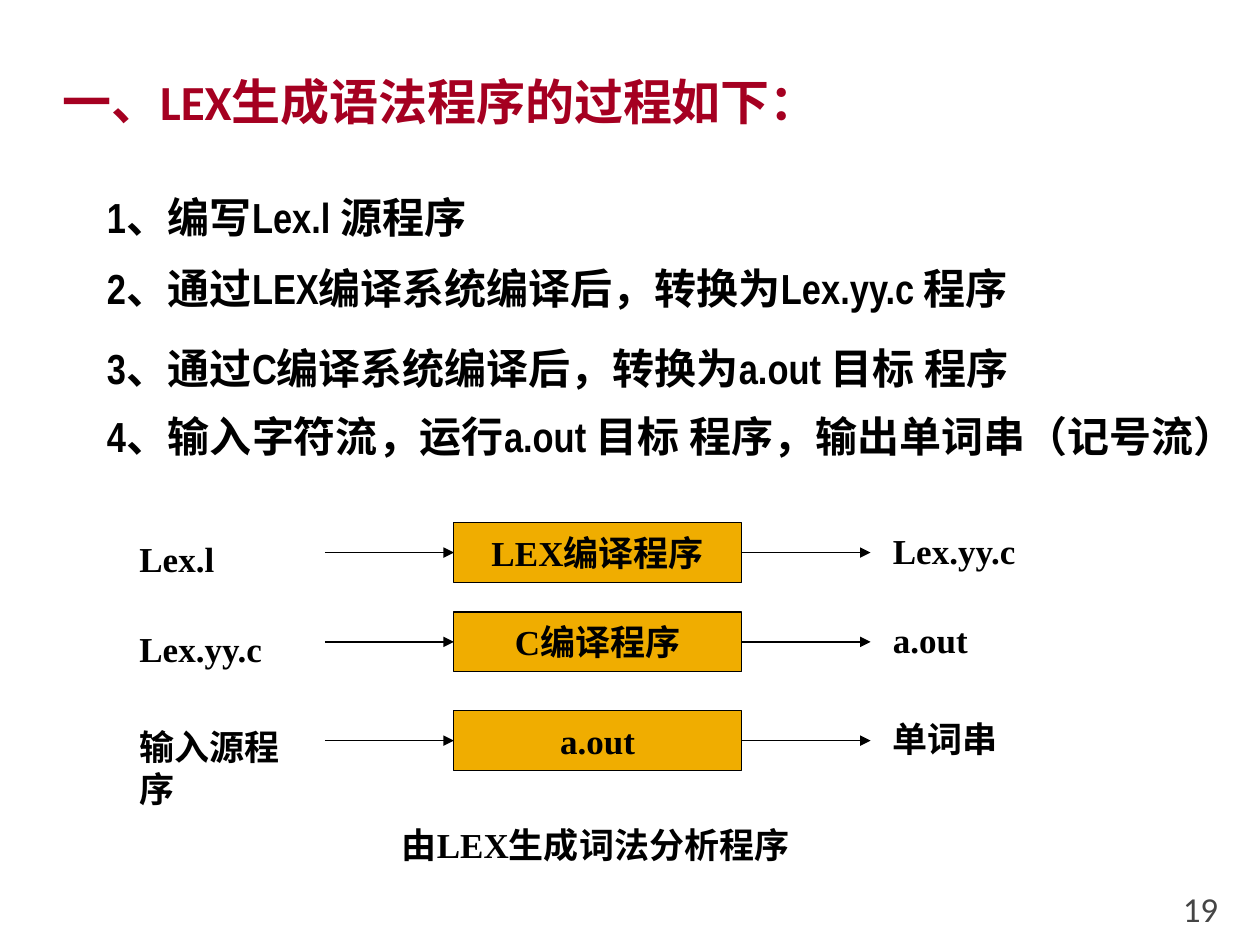
from lxml import etree
from pptx import Presentation
from pptx.dml.color import RGBColor
from pptx.enum.shapes import MSO_CONNECTOR, MSO_SHAPE
from pptx.enum.text import MSO_ANCHOR, MSO_AUTO_SIZE, PP_ALIGN
from pptx.oxml.ns import qn
from pptx.util import Cm, Pt

STRAIGHT = MSO_CONNECTOR.STRAIGHT
RECT = MSO_SHAPE.RECTANGLE
MIDDLE, BOTTOM = MSO_ANCHOR.MIDDLE, MSO_ANCHOR.BOTTOM
LEFT, CENTER, RIGHT = PP_ALIGN.LEFT, PP_ALIGN.CENTER, PP_ALIGN.RIGHT
NO_FIT = MSO_AUTO_SIZE.NONE

COLORS = {"title": "A50021", "text": "000000", "box": "F0AD00", "number": "454545"}


def write(p, text, font, size, color="text", align=LEFT, bold=True):
    p.text = text
    p.alignment = align
    for r in p.runs:
        r.font.name = font
        r.font.size = Pt(size)
        r.font.bold = bold
        r.font.color.rgb = RGBColor.from_string(COLORS[color])


def add_label(s, text, x, y, w, h):
    tf = s.shapes.add_textbox(Cm(x), Cm(y), Cm(w), Cm(h)).text_frame
    tf.word_wrap = True
    write(tf.paragraphs[0], text, "Times New Roman", 20)
    return tf


prs = Presentation()
prs.slide_width, prs.slide_height = Cm(25.4), Cm(19.05)
s = prs.slides.add_slide(prs.slide_layouts[1])

title = s.shapes.title
title.left, title.top, title.width, title.height = Cm(1), Cm(0.7), Cm(21.6), Cm(2.65)
tf = title.text_frame
tf.auto_size = NO_FIT
tf.vertical_anchor = MIDDLE
write(tf.paragraphs[0], "一、LEX生成语法程序的过程如下：", "Calibri", 28, "title")

body = s.placeholders[1]
body.left, body.top, body.width, body.height = Cm(1.9), Cm(3.73), Cm(23.5), Cm(6.6)
tf = body.text_frame
tf.auto_size = NO_FIT
steps = [
    ("1、编写Lex.l 源程序", 0),
    ("2、通过LEX编译系统编译后，转换为Lex.yy.c 程序", 12),
    ("3、通过C编译系统编译后，转换为a.out 目标 程序", 17),
    ("4、输入字符流，运行a.out 目标 程序，输出单词串（记号流）", 10),
]
for i, (text, gap) in enumerate(steps):
    p = tf.add_paragraph() if i else tf.paragraphs[0]
    pPr = p._p.get_or_add_pPr()
    pPr.set("marL", "0")
    pPr.set("indent", "0")
    etree.SubElement(pPr, qn("a:buNone"))
    p.space_before = Pt(gap)
    write(p, text, "Arial Narrow", 24)

rows = [
    (10.54, "Lex.l", "LEX编译程序", "Lex.yy.c"),
    (12.34, "Lex.yy.c", "C编译程序", "a.out"),
    (14.33, "输入源程序", "a.out", "单词串"),
]
box_x, box_w, box_h, arrow_w = 9.15, 5.8, 1.2, 2.6
for y, source, program, result in rows:
    box = s.shapes.add_shape(RECT, Cm(box_x), Cm(y), Cm(box_w), Cm(box_h))
    box.shadow.inherit = False
    box.fill.solid()
    box.fill.fore_color.rgb = RGBColor.from_string(COLORS["box"])
    box.line.color.rgb = RGBColor.from_string(COLORS["text"])
    box.line.width = Pt(0.75)
    tf = box.text_frame
    tf.word_wrap = False
    tf.vertical_anchor = MIDDLE
    write(tf.paragraphs[0], program, "Times New Roman", 20, align=CENTER)

    mid = Cm(y + box_h / 2)
    right = box_x + box_w
    arrow_in = s.shapes.add_connector(STRAIGHT, Cm(box_x - arrow_w), mid, Cm(box_x), mid)
    arrow_in.end_connect(box, 1)
    arrow_out = s.shapes.add_connector(STRAIGHT, Cm(right), mid, Cm(right + arrow_w), mid)
    arrow_out.begin_connect(box, 3)
    for arrow in (arrow_in, arrow_out):
        arrow.line.color.rgb = RGBColor.from_string(COLORS["text"])
        arrow.line.width = Pt(0.75)
        etree.SubElement(arrow.line._get_or_add_ln(), qn("a:tailEnd"), type="triangle")
        etree.SubElement(arrow._element.spPr, qn("a:effectLst"))

    add_label(s, source, 2.56, y + 0.18, 4, 1.12)
    add_label(s, result, 17.75, y, 5, 1.12)

add_label(s, "由LEX生成词法分析程序", 7.85, 16.48, 11.6, 1.12)

tf = add_label(s, "19", 22.78, 17.98, 2.03, 0.76)
tf.vertical_anchor = BOTTOM
tf.margin_bottom = 0
write(tf.paragraphs[0], "19", "Calibri", 20, "number", RIGHT, False)

prs.save("out.pptx")
